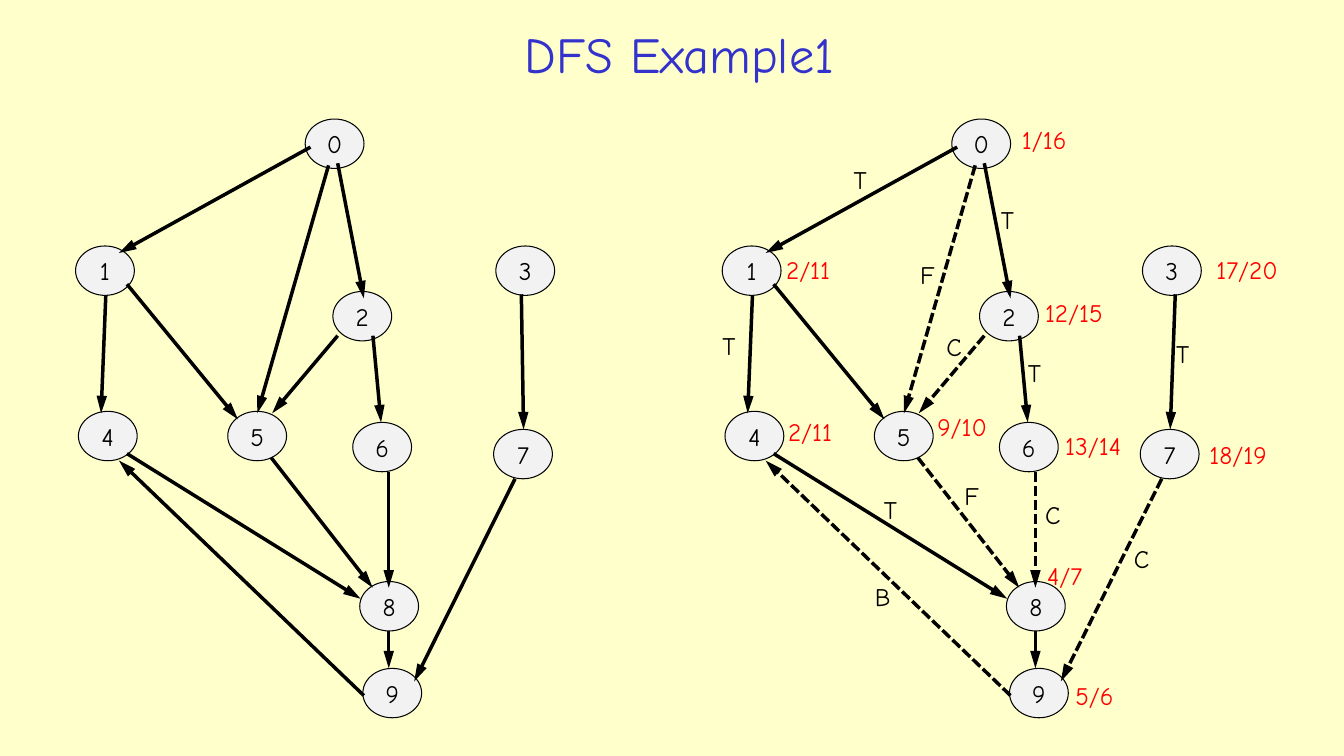
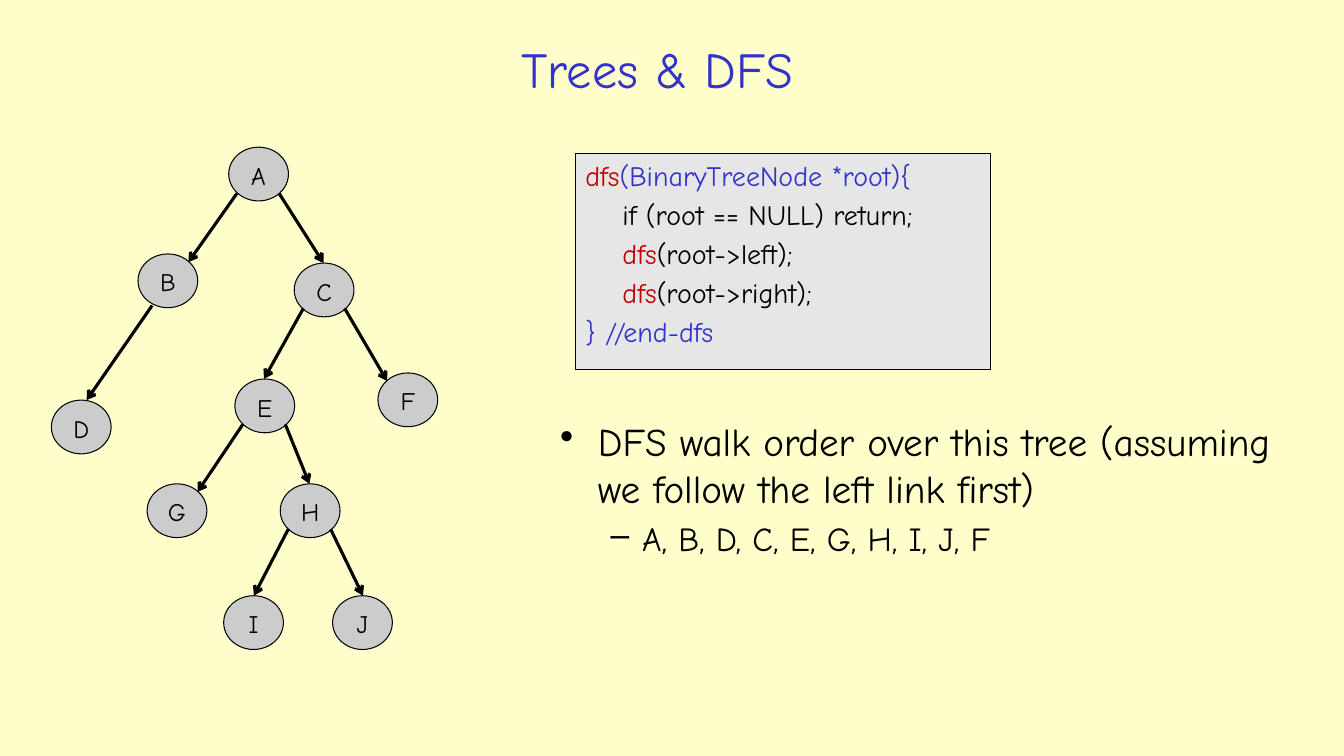
from lxml.etree import SubElement
from pptx import Presentation
from pptx.dml.color import RGBColor
from pptx.enum.dml import MSO_LINE
from pptx.enum.shapes import MSO_CONNECTOR, MSO_SHAPE
from pptx.enum.text import MSO_ANCHOR, MSO_AUTO_SIZE, PP_ALIGN
from pptx.oxml.ns import qn
from pptx.util import Pt

FONT = "Comic Neue"
CREAM = "FFFFCC"
BLUE = "3333CC"
BLACK = "000000"
RED = "FF0000"
DARK_RED = "C00000"
GRAPH_FILL = "F2F2F2"
TREE_FILL = "CCCCCC"
CODE_FILL = "E6E6E6"

GRAPH_NODE_SIZE = (42, 35.3)
TREE_NODE_SIZE = (42.7, 38.4)
SEARCH_OFFSET = 461.9

GRAPH_NODES = {
    "0": (218, 85), "1": (54, 175.7), "2": (237.8, 208.2), "3": (354.2, 175.7),
    "4": (56, 293.8), "5": (162.7, 293.8), "6": (252, 301.7), "7": (352.6, 306.7),
    "8": (257, 415.4), "9": (259.2, 477.4),
}
GRAPH_EDGES = {
    "01": ((221.8, 105.1), (85, 180.7)),
    "02": ((241.2, 116.6), (259.9, 213.1)),
    "05": ((234.7, 118.1), (183.8, 295.2)),
    "14": ((75.6, 211), (72.2, 295.2)),
    "15": ((90.7, 203), (169.9, 299.5)),
    "25": ((241.2, 239.8), (194.4, 295.2)),
    "26": ((266.4, 239.8), (272.2, 301.7)),
    "37": ((372.4, 210.2), (374, 306.7)),
    "48": ((90.7, 324), (257.6, 427.7)),
    "58": ((193.7, 326.9), (266.2, 419.8)),
    "68": ((277.7, 337), (277.7, 419.8)),
    "79": ((367.9, 342), (295.9, 486.7)),
    "89": ((277.7, 450.7), (277.7, 477.4)),
    "94": ((259.9, 496.8), (85, 329)),
}
SEARCH_EDGES = {**GRAPH_EDGES, "37": ((377.6, 210.2), (374, 306.7))}
EDGE_KINDS = {
    "01": ("T", 602.6, 113.8), "02": ("T", 707.8, 142.6), "05": ("F", 650.2, 181.4),
    "14": ("T", 509, 232.6), "25": ("C", 668.9, 233.3), "26": ("T", 727.2, 252),
    "37": ("T", 833, 238.3), "48": ("T", 624.2, 349.2), "58": ("F", 681.8, 339.8),
    "68": ("C", 739.4, 352.8), "79": ("C", 802.8, 384.5), "94": ("B", 617.8, 411.8),
}
DASHED_KINDS = ("F", "C", "B")
VISIT_TIMES = [
    ("1/16", 722.9, 85), ("2/11", 554.4, 177.8), ("12/15", 739.4, 208.8),
    ("17/20", 861.8, 177.8), ("2/11", 555.8, 293.8), ("9/10", 662.4, 290.2),
    ("13/14", 753.8, 303.8), ("18/19", 856.8, 310.3), ("4/7", 740.9, 396.7),
    ("5/6", 761, 482.4),
]

TREE_NODES = {
    "A": (163.4, 105.1), "B": (98.6, 181.4), "C": (210.2, 187.9), "D": (36.7, 285.8),
    "E": (167.8, 270.7), "F": (270, 266.4), "G": (105.1, 345.6), "H": (200.2, 345.6),
    "I": (159.8, 425.5), "J": (237.6, 425.5),
}
TREE_EDGES = [
    ((169.2, 138.2), (134.6, 187.2)), ((199.4, 138.2), (231.1, 187.9)),
    ((108.7, 218.2), (61.9, 285.8)), ((216.7, 220.3), (188.6, 270.7)),
    ((246.2, 220.3), (276.5, 272.2)), ((173.5, 303.1), (141.1, 351.4)),
    ((203.8, 303.1), (221, 345.6)), ((205.9, 378), (181.4, 425.5)),
    ((236.2, 378), (259.2, 425.5)),
]

CODE_INDENT = 26.5
CODE_LINES = [
    (0, [("dfs", DARK_RED), ("(BinaryTreeNode *root){", BLUE)]),
    (CODE_INDENT, [("if (root == NULL) return;", BLACK)]),
    (CODE_INDENT, [("dfs", DARK_RED), ("(root->left);", BLACK)]),
    (CODE_INDENT, [("dfs", DARK_RED), ("(root->right);", BLACK)]),
    (0, [("} //end-dfs", BLUE)]),
]
WALK_LINES = [
    ("DFS walk order over this tree (assuming we follow the left link first)", 28, "•", 27, 27),
    ("A, B, D, C, E, G, H, I, J, F", 24, "–", 58.5, 22.5),
]


def color(value):
    return RGBColor.from_string(value)


def style_font(font, size, value):
    font.name = FONT
    font.size = Pt(size)
    font.color.rgb = color(value)


def write(paragraph, runs, size, align=PP_ALIGN.LEFT):
    paragraph.alignment = align
    for text, value in runs:
        run = paragraph.add_run()
        run.text = text
        style_font(run.font, size, value)
    if len(runs) == 1:
        style_font(paragraph.font, size, runs[0][1])


def indent(paragraph, left, hanging=0, bullet=None):
    properties = paragraph._p.get_or_add_pPr()
    properties.set("marL", str(Pt(left)))
    properties.set("indent", str(-Pt(hanging)))
    if bullet:
        SubElement(properties, qn("a:buChar")).set("char", bullet)


def add_paragraphs(frame, count):
    return [frame.paragraphs[0]] + [frame.add_paragraph() for _ in range(count - 1)]


def add_text_box(slide, left, top, width, height):
    box = slide.shapes.add_textbox(Pt(left), Pt(top), Pt(width), Pt(height))
    box.text_frame.word_wrap = True
    return box.text_frame


def add_title(slide, text, left, top, width, height):
    frame = add_text_box(slide, left, top, width, height)
    frame.vertical_anchor = MSO_ANCHOR.MIDDLE
    write(frame.paragraphs[0], [(text, BLUE)], 36, PP_ALIGN.CENTER)


def add_label(slide, text, left, top, value):
    frame = add_text_box(slide, left, top, 14 + 10 * len(text), 29)
    frame.word_wrap = False
    frame.auto_size = MSO_AUTO_SIZE.SHAPE_TO_FIT_TEXT
    write(frame.paragraphs[0], [(text, value)], 18)


def add_outlined_shape(slide, kind, left, top, width, height, fill):
    shape = slide.shapes.add_shape(kind, Pt(left), Pt(top), Pt(width), Pt(height))
    shape.shadow.inherit = False
    shape.fill.solid()
    shape.fill.fore_color.rgb = color(fill)
    shape.line.color.rgb = color(BLACK)
    shape.line.width = Pt(0.75)
    shape.text_frame.vertical_anchor = MSO_ANCHOR.TOP
    return shape.text_frame


def add_node(slide, name, left, top, size, fill):
    frame = add_outlined_shape(slide, MSO_SHAPE.OVAL, left, top, *size, fill)
    write(frame.paragraphs[0], [(name, BLACK)], 18, PP_ALIGN.CENTER)
    return frame


def add_arrow(slide, start, end, width, head, length="med", dashed=False):
    points = [Pt(value) for value in (*start, *end)]
    connector = slide.shapes.add_connector(MSO_CONNECTOR.STRAIGHT, *points)
    connector.line.color.rgb = color(BLACK)
    connector.line.width = Pt(width)
    if dashed:
        connector.line.dash_style = MSO_LINE.SQUARE_DOT
    properties = connector._element.spPr
    tail = SubElement(properties.find(qn("a:ln")), qn("a:tailEnd"))
    for name, value in (("type", head), ("w", "med"), ("len", length)):
        tail.set(name, value)
    SubElement(properties, qn("a:effectLst"))


def add_graph(slide, edges, offset=0, dashed_edges=()):
    for name, (left, top) in GRAPH_NODES.items():
        frame = add_node(slide, name, left + offset, top, GRAPH_NODE_SIZE, GRAPH_FILL)
        frame.vertical_anchor = MSO_ANCHOR.MIDDLE
        frame.word_wrap = False
    for edge, points in edges.items():
        start, end = [(x + offset, y) for x, y in points]
        add_arrow(slide, start, end, 2.5, "triangle", "lg", edge in dashed_edges)


def add_tree(slide):
    for name, (left, top) in TREE_NODES.items():
        add_node(slide, name, left, top, TREE_NODE_SIZE, TREE_FILL)
    for start, end in TREE_EDGES:
        add_arrow(slide, start, end, 2.25, "arrow")


def add_code(slide):
    frame = add_outlined_shape(slide, MSO_SHAPE.RECTANGLE, 411, 109.4, 296.6, 154.8, CODE_FILL)
    for paragraph, (left, runs) in zip(add_paragraphs(frame, len(CODE_LINES)), CODE_LINES):
        indent(paragraph, left)
        paragraph.space_before = Pt(4)
        write(paragraph, runs, 20)


def add_walk_order(slide):
    frame = add_text_box(slide, 393, 294.5, 547, 160.5)
    paragraphs = add_paragraphs(frame, len(WALK_LINES))
    for level, (paragraph, line) in enumerate(zip(paragraphs, WALK_LINES)):
        text, size, bullet, left, hanging = line
        paragraph.level = level
        indent(paragraph, left, hanging, bullet)
        paragraph.space_before = Pt(size * 0.2)
        write(paragraph, [(text, BLACK)], size)


def build_example_slide(slide):
    add_title(slide, "DFS Example1", 142, 10.8, 687, 54.7)
    add_graph(slide, GRAPH_EDGES)
    dashed_edges = [edge for edge, label in EDGE_KINDS.items() if label[0] in DASHED_KINDS]
    add_graph(slide, SEARCH_EDGES, SEARCH_OFFSET, dashed_edges)
    for text, left, top in VISIT_TIMES:
        add_label(slide, text, left, top, RED)
    for kind, left, top in EDGE_KINDS.values():
        add_label(slide, kind, left, top, BLACK)


def build_tree_slide(slide):
    add_title(slide, "Trees & DFS", 147, 18.7, 645, 60.5)
    add_tree(slide)
    add_walk_order(slide)
    add_code(slide)


def main():
    presentation = Presentation()
    presentation.slide_width = Pt(960)
    presentation.slide_height = Pt(540)
    background = presentation.slide_master.background.fill
    background.solid()
    background.fore_color.rgb = color(CREAM)
    for build in (build_example_slide, build_tree_slide):
        build(presentation.slides.add_slide(presentation.slide_layouts[6]))
    presentation.save("out.pptx")


if __name__ == "__main__":
    main()
